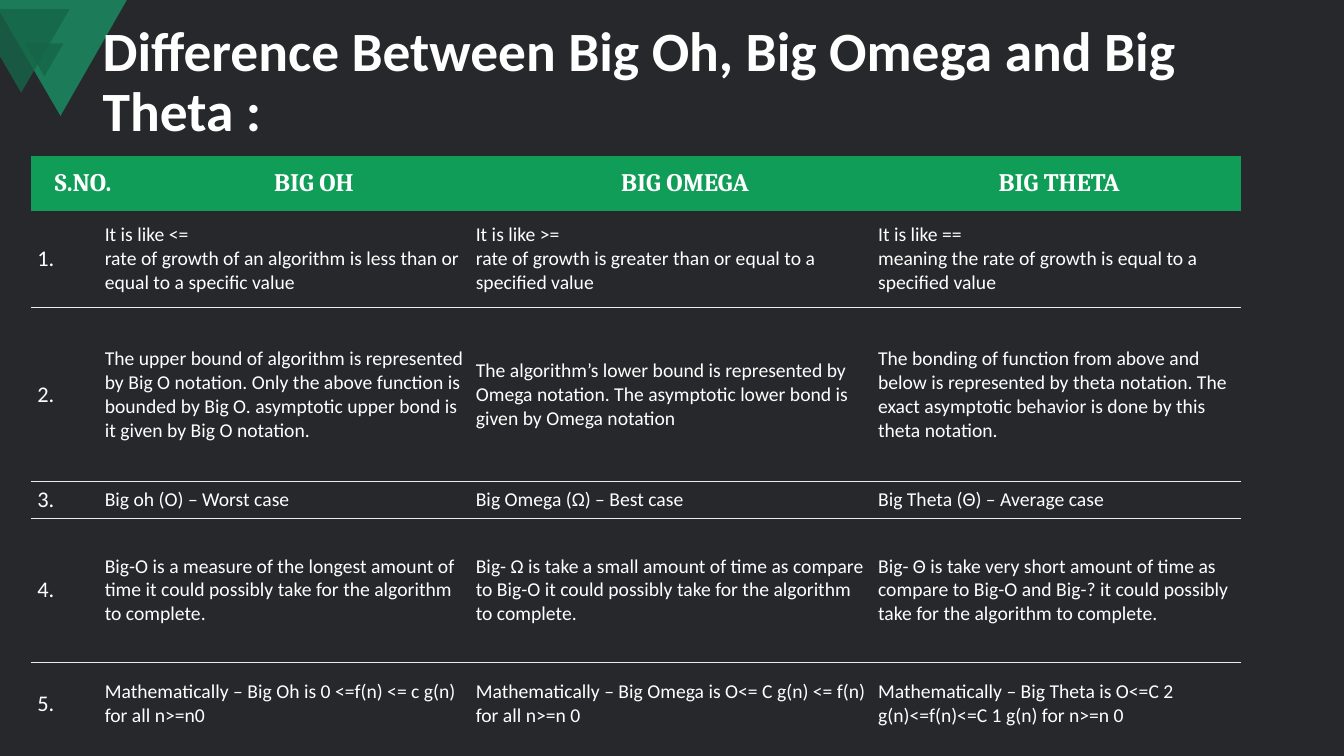
from lxml import etree
from pptx import Presentation
from pptx.dml.color import RGBColor
from pptx.enum.shapes import MSO_SHAPE as SHAPE
from pptx.enum.text import MSO_ANCHOR as ANCHOR, PP_ALIGN as ALIGN
from pptx.oxml.ns import qn
from pptx.util import Inches, Pt

BACKGROUND, WHITE, RULE = "27282C", "FFFFFF", "EDEDED"
HEADER_GREEN, BRIGHT, DEEP = "0F9D58", "1C7C5A", "166548"
NO_GRID_STYLE = "{2D5ABB26-0587-4C30-8999-92F81FD0307C}"

TITLE = "Difference Between Big Oh, Big Omega and Big Theta :"
HEADINGS = [("S.NO.", "BIG OH", "BIG OMEGA", "BIG THETA")]
COMPARISONS = [
    ("It is like <=\vrate of growth of an algorithm is less than or equal to a specific value",
     "It is like >=\vrate of growth is greater than or equal to a specified value",
     "It is like ==\vmeaning the rate of growth is equal to a specified value"),
    ("The upper bound of algorithm is represented by Big O notation. Only the above function "
     "is bounded by Big O. asymptotic upper bond is it given by Big O notation.",
     "The algorithm’s lower bound is represented by Omega notation. The asymptotic lower bond "
     "is given by Omega notation",
     "The bonding of function from above and below is represented by theta notation. The exact "
     "asymptotic behavior is done by this theta notation."),
    ("Big oh (O) – Worst case", "Big Omega (Ω) – Best case", "Big Theta (Θ) – Average case"),
    ("Big-O is a measure of the longest amount of time it could possibly take for the "
     "algorithm to complete.",
     "Big- Ω is take a small amount of time as compare to Big-O it could possibly take for the "
     "algorithm to complete.",
     "Big- Θ is take very short amount of time as compare to Big-O and Big-? it could possibly "
     "take for the algorithm to complete."),
    ("Mathematically – Big Oh is 0 <=f(n) <= c g(n) for all n>=n0",
     "Mathematically – Big Omega is O<= C g(n) <= f(n) for all n>=n 0",
     "Mathematically – Big Theta is O<=C 2 g(n)<=f(n)<=C 1 g(n) for n>=n 0"),
]
NUMBERED = [(f"{n}.", *row) for n, row in enumerate(COMPARISONS, 1)]

LEFT = 0.31
HEADER = {"top": 1.55, "cols": [1.03, 3.55, 3.81, 3.61], "rows": [0.54]}
BODY = {"top": 2.08, "cols": [0.67, 3.68, 3.99, 3.66], "rows": [0.97, 1.73, 0.36, 1.43, 0.82]}
HEADER_FONT = {"name": "Cambria", "size": Pt(18), "bold": True}
NUMBER_FONT = {"name": "Calibri", "size": Pt(16)}
BODY_FONT = {"name": "Calibri", "size": Pt(14)}
TITLE_FONT = {"name": "Calibri", "size": Pt(39.6), "bold": True}

LARGE_TRIANGLE = [(0, -0.02), (1.27, -0.02), (0.6, 1.15), (0, 0.12)]
LEFT_TRIANGLE = [(0, 0.09), (0.69, 0.09), (0.21, 0.92), (0, 0.56)]


def rgb(value):
    return RGBColor.from_string(value)


def paint(sp, color, alpha=None):
    sp.shadow.inherit = False
    sp.fill.solid()
    sp.fill.fore_color.rgb = rgb(color)
    sp.line.fill.background()
    if alpha:
        clr = sp.fill._xPr.find(".//" + qn("a:srgbClr"))
        etree.SubElement(clr, qn("a:alpha"), val=str(alpha * 1000))


def outline(s, points):
    start, *rest = [(Inches(x), Inches(y)) for x, y in points]
    builder = s.shapes.build_freeform(*start)
    builder.add_line_segments(rest, close=True)
    return builder.convert_to_shape()


def style_text(p, font):
    for r in p.runs:
        for name, value in font.items():
            setattr(r.font, name, value)
        r.font.color.rgb = rgb(WHITE)


def add_rule(cell, side):
    ln = etree.SubElement(cell._tc.get_or_add_tcPr(), qn(f"a:ln{side}"), w=str(Pt(0.6)))
    fill = etree.SubElement(ln, qn("a:solidFill"))
    etree.SubElement(fill, qn("a:srgbClr"), val=RULE)


def add_grid(s, content, layout, insets):
    cols, rows = layout["cols"], layout["rows"]
    frame = s.shapes.add_table(len(rows), len(cols), Inches(LEFT), Inches(layout["top"]),
                               Inches(sum(cols)), Inches(sum(rows)))
    table = frame.table
    table.first_row = table.horz_banding = False
    table._tbl.tblPr.find(qn("a:tableStyleId")).text = NO_GRID_STYLE
    for col, width in zip(table.columns, cols):
        col.width = Inches(width)
    for row, height in zip(table.rows, rows):
        row.height = Inches(height)
    across, down = insets
    margins = {"margin_left": across, "margin_right": across,
               "margin_top": down, "margin_bottom": down}
    for i, row in enumerate(content):
        for j, text in enumerate(row):
            cell = table.cell(i, j)
            cell.text_frame.text = text
            cell.vertical_anchor = ANCHOR.MIDDLE
            for name, value in margins.items():
                setattr(cell, name, Inches(value))
            yield i, j, cell


prs = Presentation()
prs.slide_width, prs.slide_height = Inches(13.33), Inches(7.5)
s = prs.slides.add_slide(prs.slide_layouts[6])
s.background.fill.solid()
s.background.fill.fore_color.rgb = rgb(BACKGROUND)

paint(outline(s, LARGE_TRIANGLE), BRIGHT)
small = s.shapes.add_shape(SHAPE.ISOSCELES_TRIANGLE, Inches(0.25), Inches(0.43),
                           Inches(0.38), Inches(0.33))
small._element.spPr.find(qn("a:xfrm")).set("flipV", "1")
paint(small, DEEP, 80)
paint(outline(s, LEFT_TRIANGLE), DEEP, 80)

tf = s.shapes.add_textbox(Inches(0.92), Inches(0.4), Inches(11.5), Inches(1.45)).text_frame
tf.word_wrap = True
tf.vertical_anchor = ANCHOR.MIDDLE
tf.margin_bottom = Inches(0.65)
tf.text = TITLE
p = tf.paragraphs[0]
p.line_spacing = 0.9
style_text(p, TITLE_FONT)

for i, j, cell in add_grid(s, NUMBERED, BODY, (0.06, 0.03)):
    style_text(cell.text_frame.paragraphs[0], BODY_FONT if j else NUMBER_FONT)
    add_rule(cell, "T")
    if i < len(NUMBERED) - 1:
        add_rule(cell, "B")
    cell.fill.background()

for i, j, cell in add_grid(s, HEADINGS, HEADER, (0.07, 0.07)):
    p = cell.text_frame.paragraphs[0]
    p.alignment = ALIGN.CENTER
    style_text(p, HEADER_FONT)
    cell.fill.solid()
    cell.fill.fore_color.rgb = rgb(HEADER_GREEN)

prs.save("out.pptx")
